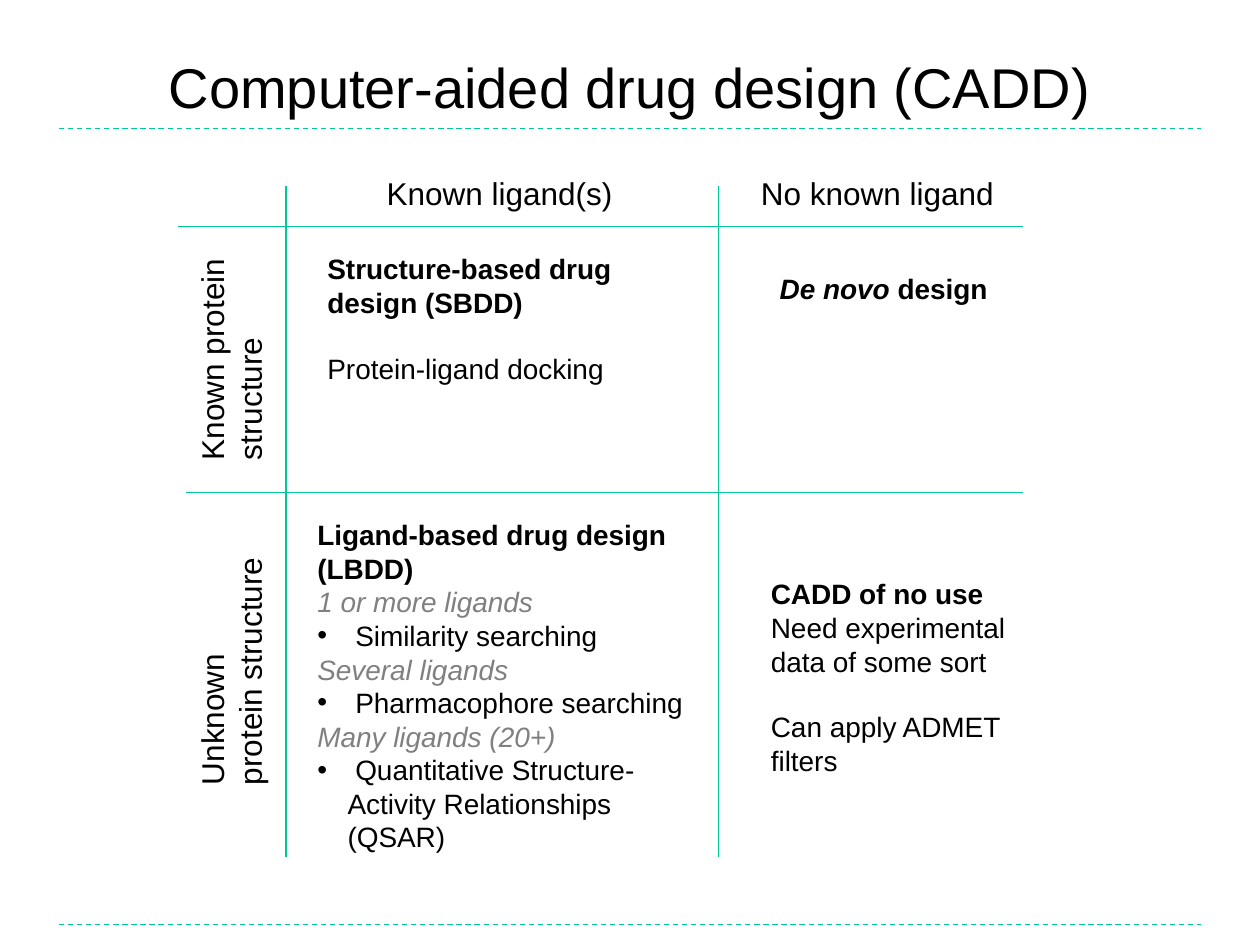
from lxml import etree
from pptx import Presentation
from pptx.dml.color import RGBColor
from pptx.enum.dml import MSO_LINE
from pptx.enum.shapes import MSO_CONNECTOR
from pptx.enum.text import MSO_ANCHOR, MSO_AUTO_SIZE, PP_ALIGN
from pptx.oxml.ns import qn
from pptx.util import Inches, Pt

STRAIGHT = MSO_CONNECTOR.STRAIGHT
DASH = MSO_LINE.DASH
MIDDLE = MSO_ANCHOR.MIDDLE
GROW = MSO_AUTO_SIZE.SHAPE_TO_FIT_TEXT
CENTER = PP_ALIGN.CENTER

COLORS = {"text": "000000", "muted": "808080", "rule": "00C896"}
FONT = "Arial"
TITLE_SIZE, HEADING_SIZE, BODY_SIZE = 32, 18, 16
BLANK_LINE = 18.4  # height of one body line, in points
BULLET_INDENT = 0.24


def write(paragraph, text, size=BODY_SIZE, color="text", bold=False, italic=False):
    run = paragraph.add_run()
    run.text = text
    font = run.font
    font.name, font.size = FONT, Pt(size)
    font.bold, font.italic = bold, italic
    font.color.rgb = RGBColor.from_string(COLORS[color])


def add_bullet(paragraph):
    props = paragraph._p.get_or_add_pPr()
    props.set("marL", str(Inches(BULLET_INDENT)))
    props.set("indent", str(-Inches(BULLET_INDENT)))
    etree.SubElement(props, qn("a:buFont"), typeface=FONT)
    etree.SubElement(props, qn("a:buChar"), char="•")


class SlideBuilder:
    def __init__(self, slide):
        self.slide = slide

    def title(self, text, left, top, width, height):
        title = self.slide.shapes.title
        title.left, title.top = Inches(left), Inches(top)
        title.width, title.height = Inches(width), Inches(height)
        frame = title.text_frame
        frame.vertical_anchor = MIDDLE
        frame.paragraphs[0].alignment = CENTER
        write(frame.paragraphs[0], text, size=TITLE_SIZE)

    def rule(self, x1, y1, x2, y2, dash=None):
        rule = self.slide.shapes.add_connector(
            STRAIGHT, Inches(x1), Inches(y1), Inches(x2), Inches(y2))
        rule.line.color.rgb = RGBColor.from_string(COLORS["rule"])
        rule.line.width = Pt(0.75)
        if dash:
            rule.line.dash_style = dash
        etree.SubElement(rule._element.spPr, qn("a:effectLst"))

    def text_box(self, left, top, width, height, rotation=0):
        box = self.slide.shapes.add_textbox(
            Inches(left), Inches(top), Inches(width), Inches(height))
        box.rotation = rotation
        box.text_frame.word_wrap = True
        box.text_frame.auto_size = GROW
        return box.text_frame

    def heading(self, text, left, top, width, height, rotation=0):
        frame = self.text_box(left, top, width, height, rotation)
        write(frame.paragraphs[0], text, size=HEADING_SIZE)

    def cell(self, left, top, width, height, paragraphs):
        """Fill one quadrant; each paragraph is (runs, options)."""
        frame = self.text_box(left, top, width, height)
        for index, (runs, options) in enumerate(paragraphs):
            paragraph = frame.add_paragraph() if index else frame.paragraphs[0]
            if options.get("gap"):
                paragraph.space_before = Pt(BLANK_LINE)
            if options.get("bullet"):
                add_bullet(paragraph)
            for text, style in runs:
                write(paragraph, text, **style)


def line(text, gap=False, bullet=False, **style):
    return [(text, style)], {"gap": gap, "bullet": bullet}


def main():
    prs = Presentation()
    prs.slide_width, prs.slide_height = Inches(10), Inches(7.5)
    builder = SlideBuilder(prs.slides.add_slide(prs.slide_layouts[5]))

    builder.title("Computer-aided drug design (CADD)", 0.75, 0.35, 8.5, 0.66)
    for y in (1.02, 7.34):
        builder.rule(0.47, y, 9.53, y, dash=DASH)
    for x in (5.7, 2.27):
        builder.rule(x, 1.48, x, 6.8)
    for x, y in ((1.41, 1.8), (1.48, 3.91)):
        builder.rule(x, y, 8.12, y)

    for ligands, left, width in (("Known ligand(s)", 2.97, 2.03),
                                 ("No known ligand", 5.94, 2.19)):
        builder.heading(ligands, left, 1.33, width, 0.4)
    for protein, top in (("Known protein structure", 2.38),
                         ("Unknown protein structure", 4.96)):
        builder.heading(protein, 0.82, top, 2.03, 0.71, rotation=270)

    builder.cell(2.5, 1.95, 2.81, 1.18, [
        line("Structure-based drug design (SBDD)", bold=True),
        line("Protein-ligand docking", gap=True),
    ])
    methods = [line("Ligand-based drug design (LBDD)", bold=True)]
    for ligand_count, method in (
            ("1 or more ligands", "Similarity searching"),
            ("Several ligands", "Pharmacophore searching"),
            ("Many ligands (20+)",
             "Quantitative Structure-Activity Relationships (QSAR)")):
        methods.append(line(ligand_count, color="muted", italic=True))
        methods.append(line(" " + method, bullet=True))
    builder.cell(2.42, 4.06, 3.36, 2.52, methods)
    builder.cell(6.09, 2.11, 2.27, 0.37, [
        ([("De novo", {"bold": True, "italic": True}),
          (" design", {"bold": True})], {}),
    ])
    builder.cell(6.02, 4.53, 2.5, 1.72, [
        line("CADD of no use", bold=True),
        line("Need experimental data of some sort"),
        line("Can apply ADMET filters", gap=True),
    ])

    prs.save("out.pptx")


if __name__ == "__main__":
    main()
